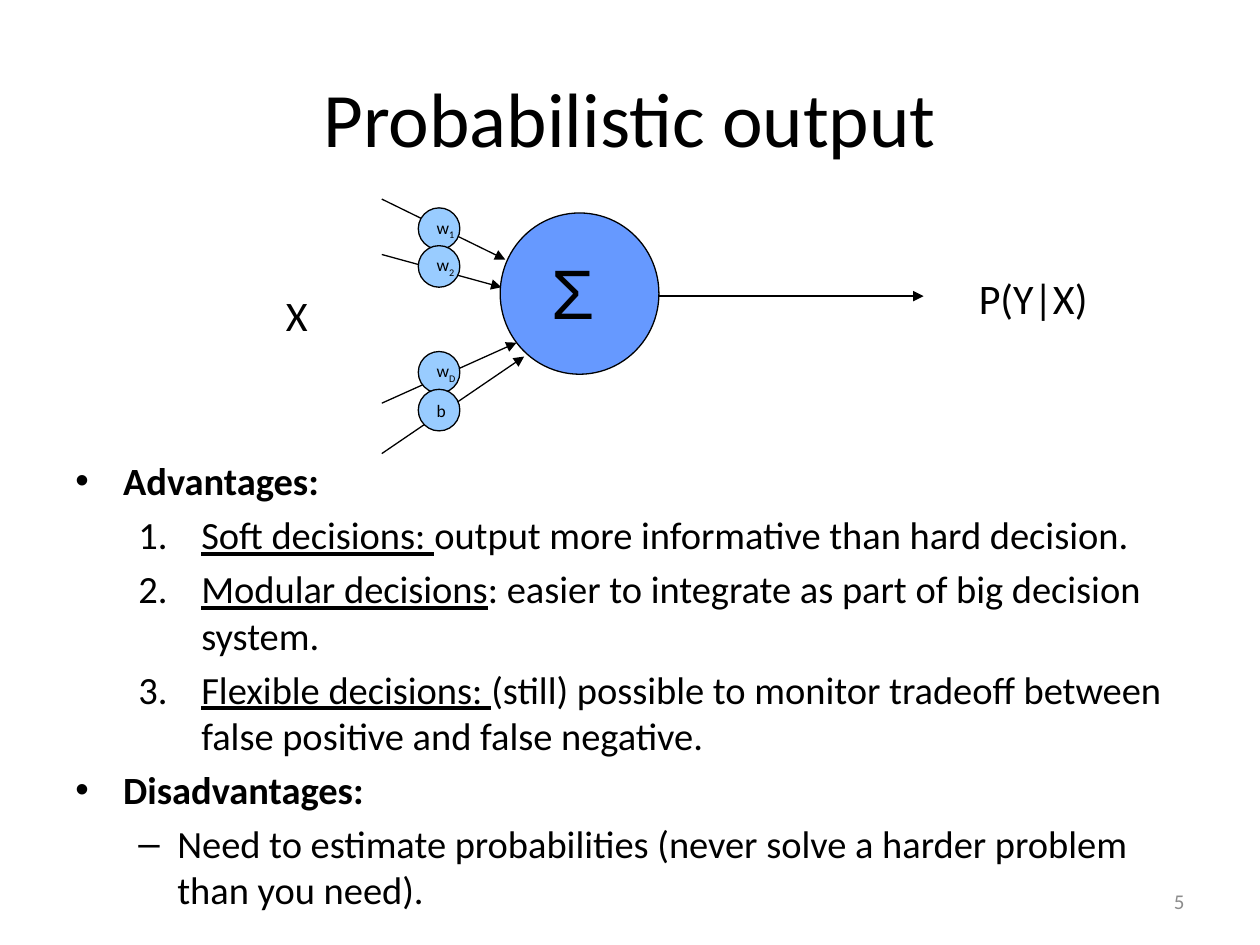
from lxml.etree import SubElement as Sub
from pptx import Presentation
from pptx.dml.color import RGBColor
from pptx.enum.shapes import MSO_CONNECTOR as Wire, MSO_SHAPE as Shape
from pptx.enum.text import MSO_ANCHOR as Anchor, PP_ALIGN as Align
from pptx.oxml.ns import qn
from pptx.util import Inches, Pt

BLACK = RGBColor(0, 0, 0)
GRAY = RGBColor(0x8C, 0x8C, 0x8C)
BLUE = RGBColor(0x66, 0x99, 0xFF)
PALE = RGBColor(0x99, 0xCC, 0xFF)

HEAD = (0.38, -0.38, "buChar", {"char": "•"})
ITEM = (1, -0.5, "buAutoNum", {"type": "arabicPeriod"})
DASH = (0.81, -0.31, "buChar", {"char": "–"})
POINTS = [
    (HEAD, "Advantages:", ""),
    (ITEM, "Soft decisions: ", "output more informative than hard decision."),
    (ITEM, "Modular decisions",
     ": easier to integrate as part of big decision system."),
    (ITEM, "Flexible decisions: ",
     "(still) possible to monitor tradeoff between false positive and false negative."),
    (HEAD, "Disadvantages:", ""),
    (DASH, "",
     "Need to estimate probabilities (never solve a harder problem than you need)."),
]


def style(font, size, color=BLACK, name="Calibri"):
    font.size = Pt(size)
    font.name = name
    font.color.rgb = color


def add_run(para, text, size):
    run = para.add_run()
    run.text = text
    style(run.font, size)
    return run


def add_text(slide, box, text, size, color=BLACK, name="Calibri", wrap=True):
    frame = slide.shapes.add_textbox(*map(Inches, box)).text_frame
    frame.word_wrap = wrap
    frame.text = text
    style(frame.paragraphs[0].runs[0].font, size, color, name)
    return frame


def add_arrow(slide, start, end):
    arrow = slide.shapes.add_connector(
        Wire.STRAIGHT, *map(Inches, (*start, *end)))
    arrow.line.color.rgb = BLACK
    arrow.line.width = Pt(0.75)
    Sub(arrow.line._get_or_add_ln(), qn("a:tailEnd"), type="triangle")
    Sub(arrow._element.spPr, qn("a:effectLst"))


def add_disc(slide, box, color):
    disc = slide.shapes.add_shape(Shape.OVAL, *map(Inches, box))
    disc.shadow.inherit = False
    disc.fill.solid()
    disc.fill.fore_color.rgb = color
    disc.line.color.rgb = BLACK
    disc.line.width = Pt(0.75)
    return disc


def add_weight(slide, box, name, index):
    frame = add_disc(slide, box, PALE).text_frame
    frame.word_wrap = False
    frame.vertical_anchor = Anchor.MIDDLE
    para = frame.paragraphs[0]
    para.alignment = Align.LEFT
    add_run(para, name, 10)
    if index:
        low = add_run(para, index, 10)
        low.font._element.set("baseline", "-25000")


def add_title(slide, box, text):
    title = slide.shapes.title
    title.left, title.top, title.width, title.height = map(Inches, box)
    frame = title.text_frame
    frame.text = text
    frame.vertical_anchor = Anchor.MIDDLE
    frame.paragraphs[0].alignment = Align.CENTER
    style(frame.paragraphs[0].runs[0].font, 44)


def add_neuron(slide, left, top):
    inputs = [
        (0, 0.98, 0.48, 0.07, "w", "1"),
        (0.44, 0.95, 0.7, 0.37, "w", "2"),
        (1.62, 1.07, 1.14, 1.21, "w", "D"),
        (2.02, 1.13, 1.25, 1.51, "b", ""),
    ]
    for start, x, y, *_ in inputs:
        add_arrow(slide, (left, top + start), (left + x, top + y))
    add_arrow(slide, (left + 2.19, top + 0.77), (left + 4.3, top + 0.77))
    add_disc(slide, (left + 0.94, top + 0.11, 1.26, 1.28), BLUE)
    add_text(slide, (left + 1.25, top + 0.35, 0.62, 0.77), "Σ", 40, name="Arial")
    for *_, y, name, index in inputs:
        add_weight(slide, (left + 0.29, top + y, 0.33, 0.33), name, index)
    add_text(slide, (left - 0.86, top + 0.67, 0.38, 0.5), "X", 24, wrap=False)
    add_text(slide, (left + 4.64, top + 0.53, 1.07, 0.5), "P(Y|X)", 24, wrap=False)


def add_points(slide, box):
    frame = slide.shapes.add_textbox(*map(Inches, box)).text_frame
    frame.word_wrap = True
    for i, (kind, lead, rest) in enumerate(POINTS):
        para = frame.add_paragraph() if i else frame.paragraphs[0]
        margin, indent, tag, attrs = kind
        para.level = 0 if kind is HEAD else 1
        if i:
            para.space_before = Pt(4.5)
        props = para._p.get_or_add_pPr()
        props.set("marL", str(Inches(margin)))
        props.set("indent", str(Inches(indent)))
        Sub(props, qn("a:buFont"), typeface="Arial")
        Sub(props, qn("a:" + tag), attrs)
        if lead:
            font = add_run(para, lead, 22).font
            font.bold = kind is HEAD
            font.underline = kind is ITEM
        if rest:
            add_run(para, rest, 22)


def add_number(slide, box, text):
    frame = add_text(slide, box, text, 12, GRAY)
    frame.vertical_anchor = Anchor.MIDDLE
    frame.paragraphs[0].alignment = Align.RIGHT


def main():
    deck = Presentation()
    deck.slide_width, deck.slide_height = Inches(10), Inches(7.5)
    slide = deck.slides.add_slide(deck.slide_layouts[5])
    add_title(slide, (0.5, 0.3, 9, 1.25), "Probabilistic output")
    add_points(slide, (0.5, 3.58, 9, 4.95))
    add_number(slide, (7.17, 6.95, 2.33, 0.4), "5")
    add_neuron(slide, 3.03, 1.58)
    deck.save("out.pptx")


if __name__ == "__main__":
    main()
